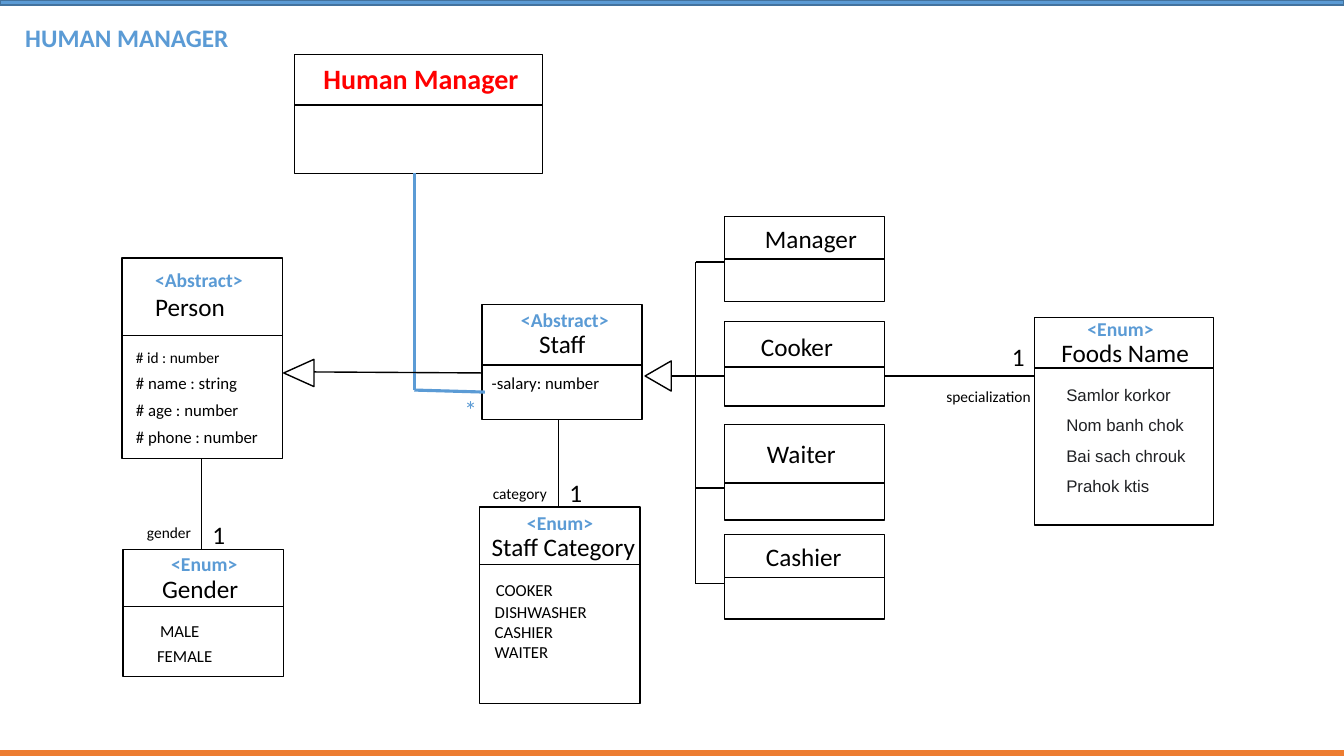
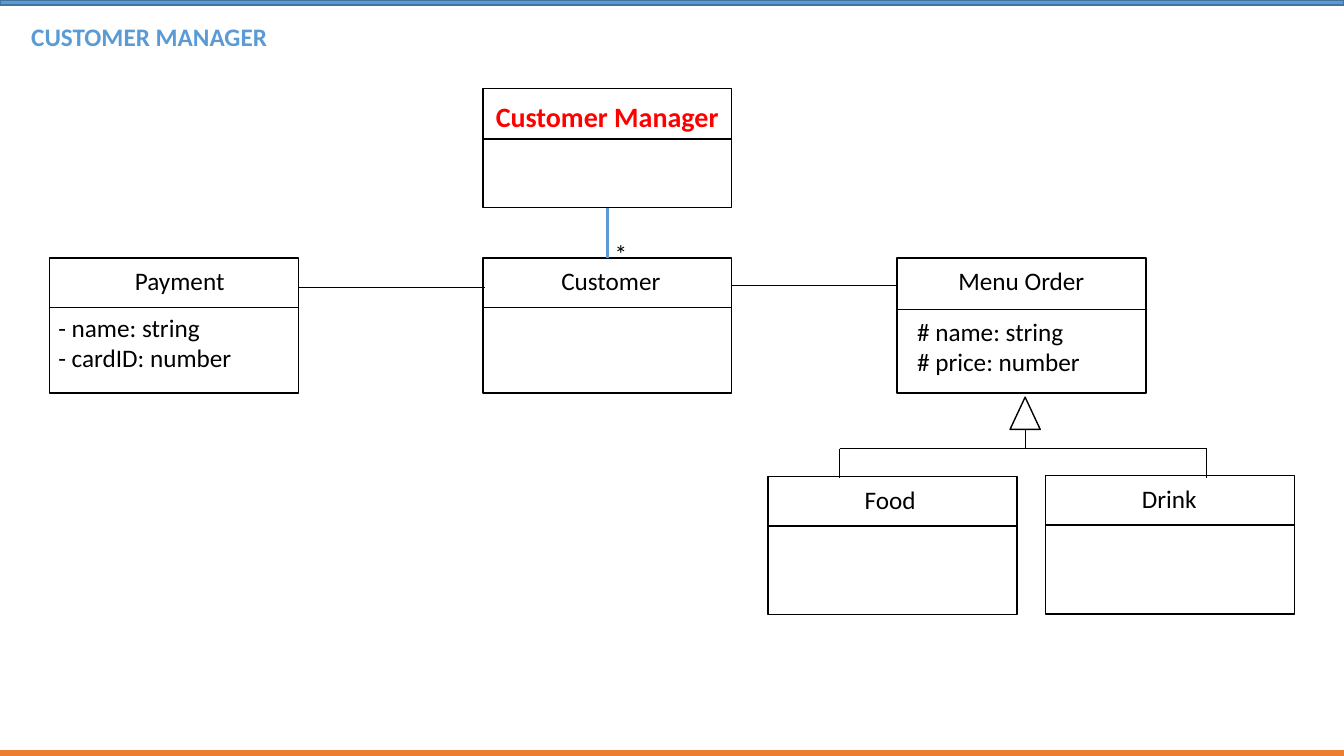
from dataclasses import dataclass, field

from lxml import etree
from pptx import Presentation
from pptx import util as u
from pptx.dml import color
from pptx.enum import shapes, text
from pptx.oxml.ns import qn

# Grid: every length below counts cells of a tenth of an inch
COLS, ROWS = 133.33, 75
CELL = u.Inches(0.1)
BAND_H = 0.5


def cells(n: float) -> u.Emu:
    return u.Emu(round(n * CELL))


# Theme
@dataclass(frozen=True)
class Style:
    size: float
    color: str = "000000"
    bold: bool = False
    font: str = "Calibri"
    spacing: float = 1.0


@dataclass(frozen=True)
class Theme:
    ink: str = "000000"
    paper: str = "FFFFFF"
    blue: str = "5B9BD5"
    blue_edge: str = "43739E"
    orange: str = "ED7D31"
    hair: float = 0.5
    thin: float = 1
    thick: float = 2.25
    title: Style = Style(18, "5B9BD5", True)
    manager: Style = Style(20, "FF0000", True)
    kind: Style = Style(14, "5B9BD5", True)
    name: Style = Style(18)
    many: Style = Style(18, "5B9BD5")
    member: Style = Style(12)
    role: Style = Style(11)
    food: Style = Style(12, "202124", font="Arial", spacing=1.5)


T = Theme()


# Diagram parts
@dataclass(frozen=True)
class Label:
    x: float
    y: float
    w: float
    style: Style
    lines: tuple[str, ...]


@dataclass(frozen=True)
class ClassBox:
    """A class with a ruled head; its labels are placed from its corner."""
    x: float
    y: float
    w: float
    h: float
    head: float
    labels: tuple[Label, ...]


@dataclass(frozen=True)
class Link:
    x1: float
    y1: float
    x2: float
    y2: float
    color: str = T.ink
    width: float = T.thin


@dataclass(frozen=True)
class Arrow:
    """Hollow triangle for inheritance."""
    x: float
    y: float
    w: float
    h: float
    turn: float = 0


@dataclass(frozen=True)
class Diagram:
    title: Label
    boxes: list[ClassBox]
    links: list[Link]
    arrows: list[Arrow]
    labels: list[Label] = field(default_factory=list)


def label(x: float, y: float, w: float, style: Style, *lines: str) -> Label:
    return Label(x, y, w, style, lines)


def rows(x: float, y: float, pitch: float, w: float, *lines: str) -> list[Label]:
    return [label(x, y + i * pitch, w, T.member, line) for i, line in enumerate(lines)]


# Drawing
def rgb(value: str) -> color.RGBColor:
    return color.RGBColor.from_string(value)


def write(tf, item: Label) -> None:
    st = item.style
    for i, line in enumerate(item.lines):
        p = tf.paragraphs[0] if i == 0 else tf.add_paragraph()
        p.alignment = text.PP_ALIGN.LEFT
        p.line_spacing = st.spacing
        r = p.add_run()
        r.text = line
        r.font.name, r.font.size, r.font.bold = st.font, u.Pt(st.size), st.bold
        r.font.color.rgb = rgb(st.color)


def place(sp, item: Label) -> None:
    line_h = item.style.size * 1.2 * item.style.spacing / 7.2
    sp.left, sp.top, sp.width = cells(item.x), cells(item.y), cells(item.w)
    sp.height = cells(1 + line_h * len(item.lines))
    tf = sp.text_frame
    tf.word_wrap = False
    tf.vertical_anchor = text.MSO_ANCHOR.TOP
    tf.auto_size = text.MSO_AUTO_SIZE.SHAPE_TO_FIT_TEXT
    write(tf, item)


def draw_label(s, item: Label, dx: float = 0, dy: float = 0) -> None:
    moved = Label(item.x + dx, item.y + dy, item.w, item.style, item.lines)
    place(s.shapes.add_textbox(0, 0, CELL, CELL), moved)


def draw_shape(s, kind, x: float, y: float, w: float, h: float,
               fill: str = T.paper, edge: str = T.ink):
    sp = s.shapes.add_shape(kind, cells(x), cells(y), cells(w), cells(h))
    sp.shadow.inherit = False
    sp.fill.solid()
    sp.fill.fore_color.rgb = rgb(fill)
    sp.line.color.rgb = rgb(edge)
    sp.line.width = u.Pt(T.thin)
    return sp


def draw_link(s, link: Link) -> None:
    ends = (cells(n) for n in (link.x1, link.y1, link.x2, link.y2))
    sp = s.shapes.add_connector(shapes.MSO_CONNECTOR.STRAIGHT, *ends)
    sp.line.color.rgb = rgb(link.color)
    sp.line.width = u.Pt(link.width)
    etree.SubElement(sp._element.spPr, qn("a:effectLst"))


def draw_box(s, box: ClassBox) -> None:
    draw_shape(s, shapes.MSO_SHAPE.RECTANGLE, box.x, box.y, box.w, box.h)
    rule_y = box.y + box.head
    draw_link(s, Link(box.x, rule_y, box.x + box.w, rule_y))
    for item in box.labels:
        draw_label(s, item, box.x, box.y)


def draw_bands(s) -> None:
    band = shapes.MSO_SHAPE.FLOWCHART_PROCESS
    draw_shape(s, band, 0, 0, COLS, BAND_H, T.blue, T.blue_edge)
    draw_shape(s, band, 0, ROWS - BAND_H, COLS, BAND_H, T.orange, T.orange)


def draw_slide(prs, d: Diagram) -> None:
    s = prs.slides.add_slide(prs.slide_layouts[5])
    place(s.shapes.title, d.title)
    for box in d.boxes:
        draw_box(s, box)
    for link in d.links:
        draw_link(s, link)
    for arrow in d.arrows:
        sp = draw_shape(s, shapes.MSO_SHAPE.ISOSCELES_TRIANGLE,
                        arrow.x, arrow.y, arrow.w, arrow.h)
        sp.rotation = arrow.turn
    for item in d.labels:
        draw_label(s, item)
    draw_bands(s)


# Human manager: people, staff roles and their enums
W = 15.9
TRUNK_X = 69

person = ClassBox(12.1, 25.6, W, 19.9, 7.7, (
    label(2.3, 0.5, 10.8, T.kind, "<Abstract>"),
    label(2.3, 2.85, 9.2, T.name, "Person"),
    label(0.4, 8.4, 10.7, T.role, "# id : number"),
    *rows(0.4, 10.9, 2.65, 14.2, "# name : string", "# age : number", "# phone : number"),
))
gender = ClassBox(12.2, 54.5, W, 12.6, 5.7, (
    label(3.8, -0.2, 8.6, T.kind, "<Enum>"),
    label(2.9, 1.9, 9.7, T.name, "Gender"),
    label(2.7, 6.6, 6, T.member, "MALE"),
    label(2.4, 9.1, 7.6, T.member, "FEMALE"),
))
staff = ClassBox(47.8, 30.2, W, 11.4, 6, (
    label(2.9, -0.1, 10.8, T.kind, "<Abstract>"),
    label(4.7, 1.9, 6.7, T.name, "Staff"),
    label(0, 6.3, 12.8, T.member, "-salary: number"),
))
category = ClassBox(47.6, 50.3, W, 19.5, 5.7, (
    label(3.7, -0.1, 8.6, T.kind, "<Enum>"),
    label(0.2, 1.9, 16.4, T.name, "Staff Category"),
    label(0.6, 6.7, 7.8, T.member, "COOKER"),
    label(0.5, 8.9, 11.3, T.member, "DISHWASHER", "CASHIER", "WAITER"),
))
foods = ClassBox(102.6, 31.5, 17.8, 20.6, 5, (
    label(4.3, -0.6, 8.6, T.kind, "<Enum>"),
    label(1.7, 1.5, 14.8, T.name, "Foods Name"),
    label(2.2, 5.2, 14.2, T.food,
          "Samlor korkor", "Nom banh chok", "Bai sach chrouk", "Prahok ktis"),
))
human_boss = ClassBox(29.2, 5.4, 24.6, 11.8, 5, (
    label(1.9, 0.2, 21.6, T.manager, "Human Manager"),))
roles = [
    ClassBox(71.85, y, W, h, head, (label(dx, dy, w, T.name, role),))
    for role, y, h, head, dx, dy, w in (
        ("Manager", 21.5, 8.4, 4.2, 3.05, 0.2, 11.2),
        ("Cooker", 31.9, 8.4, 4.5, 2.65, 0.5, 9.2),
        ("Waiter", 42.1, 9.5, 5.8, 3.25, 0.9, 8.9),
        ("Cashier", 53, 8.4, 4.3, 3.15, 0.2, 9.6),
    )
]

human = Diagram(
    title=label(1.5, 1.7, 22.4, T.title, "HUMAN MANAGER"),
    boxes=[human_boss, person, staff, *roles, foods, gender, category],
    links=[
        Link(41.1, 38.7, 41.1, 17.2, T.blue, T.thick),
        Link(48.1, 38.9, 41.1, 38.7, T.blue, T.thick),
        Link(31.1, 36.9, 47.9, 37),
        Link(66.5, 37.3, 71.85, 37.3),
        Link(TRUNK_X, 26, TRUNK_X, 57.9),
        *(Link(TRUNK_X, y, 71.85, y) for y in (26, 48.4, 57.9)),
        Link(87.75, 37.3, 102.6, 37.3),
        Link(20, 45.5, 20, 54.5),
        Link(55.4, 41.6, 55.4, 50.3),
    ],
    arrows=[Arrow(28.3, 35.5, 2.7, 3, 270), Arrow(63.8, 36, 3, 2.6, 270)],
    labels=[
        label(45.1, 38.6, 3.3, T.many, "*"),
        *(label(x, y, 3.3, T.name, "1") for x, y in ((99.4, 33.4), (20.1, 51), (55.5, 46.9))),
        label(92.9, 37.9, 10.5, T.role, "specialization"),
        label(13.6, 51.4, 6.4, T.role, "gender"),
        label(47.9, 47.5, 7.5, T.role, "category"),
    ],
)

# Customer manager: customer, payment and orders
W = 24.7
TOP, HIGH, HEAD = 25.6, 13.4, 4.9
FORK_Y, FOOD_X, DRINK_X = 44.5, 83.3, 119.7

customer = Diagram(
    title=label(2.1, 1.6, 25.6, T.title, "CUSTOMER MANAGER"),
    boxes=[
        ClassBox(47.9, 8.8, W, 11.8, 5, (
            label(0.3, 0.6, 24.3, T.manager, "Customer Manager"),)),
        ClassBox(4.9, TOP, W, HIGH, HEAD, (
            label(7.5, 0.2, 11.1, T.name, "Payment"),
            label(-0.1, HEAD, 19.4, T.name, "- name: string", "- cardID: number"))),
        ClassBox(47.9, TOP, W, HIGH, HEAD, (
            label(6.8, 0.2, 12, T.name, "Customer"),)),
        ClassBox(89, TOP, W, HIGH, 5.1, (
            label(5.1, 0.2, 14.6, T.name, "Menu Order"),
            label(1, 5.3, 18.4, T.name, "# name: string", "# price: number"))),
        ClassBox(76.2, 47.3, W, 13.7, HEAD, (
            label(8.6, 0.3, 7.1, T.name, "Food"),)),
        ClassBox(103.7, 47.2, W, 13.7, HEAD, (
            label(8.6, 0.3, 7.5, T.name, "Drink"),)),
    ],
    links=[
        Link(60.3, 20.6, 60.3, TOP, T.blue, T.thick),
        Link(29.6, 28.5, 48.1, 28.5, width=T.hair),
        Link(72.6, 28.3, 89, 28.3, width=T.hair),
        Link(101.7, 41.1, 101.7, FORK_Y, width=T.hair),
        Link(FOOD_X, FORK_Y, DRINK_X, FORK_Y, width=T.hair),
        *(Link(x, FORK_Y, x, 47.4) for x in (FOOD_X, DRINK_X)),
    ],
    arrows=[Arrow(100.2, 39.4, 3, 3.2)],
    labels=[label(60, 23.2, 3.3, T.name, "*")],
)

# Build
prs = Presentation()
prs.slide_width, prs.slide_height = cells(COLS), cells(ROWS)
for diagram in (human, customer):
    draw_slide(prs, diagram)
prs.save("out.pptx")
